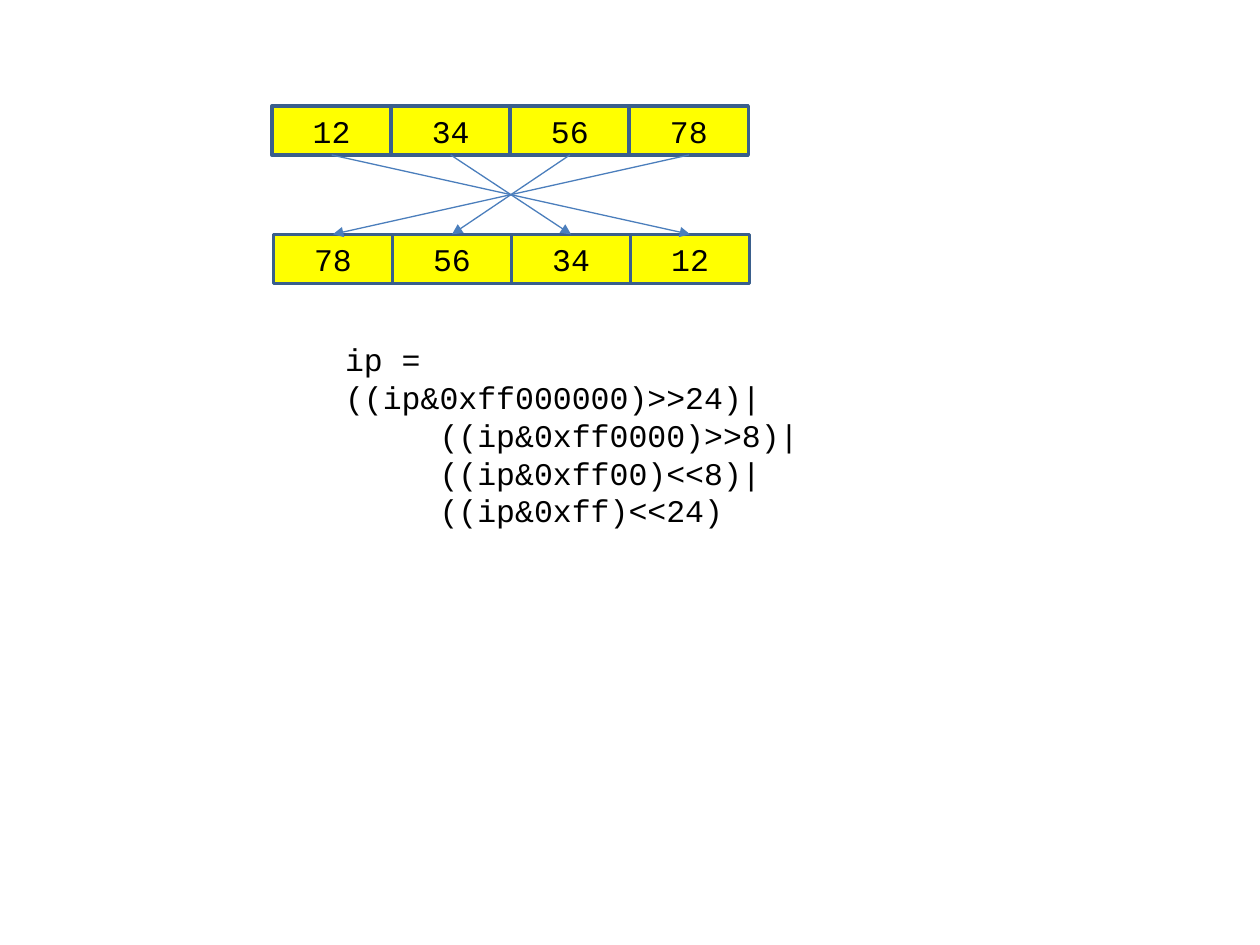
from dataclasses import dataclass

import pptx
import pptx.dml.color
import pptx.enum.shapes
import pptx.enum.text
import pptx.oxml.ns
import pptx.oxml.xmlchemy
import pptx.shapes.autoshape
import pptx.slide
import pptx.text.text
import pptx.util
from lxml import etree
from pptx.util import Inches

COLORS = {"byte": "FFFF00", "border": "3A5F8C", "arrow": "4B7EBC", "text": "000000"}
FONT = "Courier New"
TEXT_SIZE = 18
WORD_WIDTH = 3.78
BYTE_HEIGHT = 0.39
CODE_INDENT = 0.75
TOP_SITE, BOTTOM_SITE = 0, 2


@dataclass(frozen=True)
class Word:
    left: float
    top: float
    values: tuple[str, ...]


@dataclass(frozen=True)
class CodeLine:
    text: str
    indent: float = 0


BIG_ENDIAN = Word(2.16, 0.84, ("12", "34", "56", "78"))
LITTLE_ENDIAN = Word(2.17, 1.86, BIG_ENDIAN.values[::-1])
SWAP_CODE = (
    CodeLine("ip = ((ip&0xff000000)>>24)|"),
    CodeLine("((ip&0xff0000)>>8)|", CODE_INDENT),
    CodeLine("((ip&0xff00)<<8)|", CODE_INDENT),
    CodeLine("((ip&0xff)<<24)", CODE_INDENT),
)


def rgb(name: str) -> pptx.dml.color.RGBColor:
    return pptx.dml.color.RGBColor.from_string(COLORS[name])


def set_font(paragraph) -> None:
    paragraph.font.name = FONT
    paragraph.font.size = pptx.util.Pt(TEXT_SIZE)
    paragraph.font.color.rgb = rgb("text")


def draw_word(slide: pptx.slide.Slide, word: Word) -> list[pptx.shapes.autoshape.Shape]:
    byte_width = WORD_WIDTH / len(word.values)
    cells = []
    for position, value in enumerate(word.values):
        cell = slide.shapes.add_shape(
            pptx.enum.shapes.MSO_SHAPE.RECTANGLE,
            Inches(word.left + position * byte_width),
            Inches(word.top),
            Inches(byte_width),
            Inches(BYTE_HEIGHT),
        )
        cell.shadow.inherit = False
        cell.fill.solid()
        cell.fill.fore_color.rgb = rgb("byte")
        cell.line.color.rgb = rgb("border")
        cell.line.width = pptx.util.Pt(2)
        cell.text_frame.vertical_anchor = pptx.enum.text.MSO_ANCHOR.MIDDLE
        digits = cell.text_frame.paragraphs[0]
        digits.text = value
        digits.alignment = pptx.enum.text.PP_ALIGN.CENTER
        set_font(digits)
        cells.append(cell)
    return cells


def draw_move(
    slide: pptx.slide.Slide,
    source: pptx.shapes.autoshape.Shape,
    target: pptx.shapes.autoshape.Shape,
) -> None:
    arrow = slide.shapes.add_connector(
        pptx.enum.shapes.MSO_CONNECTOR.STRAIGHT, 0, 0, 0, 0
    )
    arrow.begin_connect(source, BOTTOM_SITE)
    arrow.end_connect(target, TOP_SITE)
    arrow.line.color.rgb = rgb("arrow")
    arrow.line.width = pptx.util.Pt(0.75)
    properties = arrow.element.spPr
    outline = properties.find(pptx.oxml.ns.qn("a:ln"))
    etree.SubElement(outline, pptx.oxml.ns.qn("a:tailEnd"), type="triangle")
    etree.SubElement(properties, pptx.oxml.ns.qn("a:effectLst"))


def draw_code(slide: pptx.slide.Slide, lines: tuple[CodeLine, ...]) -> None:
    code = slide.shapes.add_textbox(
        Inches(2.64), Inches(2.65), Inches(3.94), Inches(1.92)
    ).text_frame
    code.word_wrap = True
    for number, line in enumerate(lines):
        paragraph = code.add_paragraph() if number else code.paragraphs[0]
        paragraph.text = line.text
        set_font(paragraph)
        if line.indent:
            paragraph._p.get_or_add_pPr().set("marL", str(Inches(line.indent)))


def main() -> None:
    presentation = pptx.Presentation()
    presentation.slide_width = Inches(10)
    presentation.slide_height = Inches(7.5)
    slide = presentation.slides.add_slide(presentation.slide_layouts[6])
    before = draw_word(slide, BIG_ENDIAN)
    after = draw_word(slide, LITTLE_ENDIAN)
    for source, target in zip(before, reversed(after)):
        draw_move(slide, source, target)
    draw_code(slide, SWAP_CODE)
    presentation.save("out.pptx")


if __name__ == "__main__":
    main()
